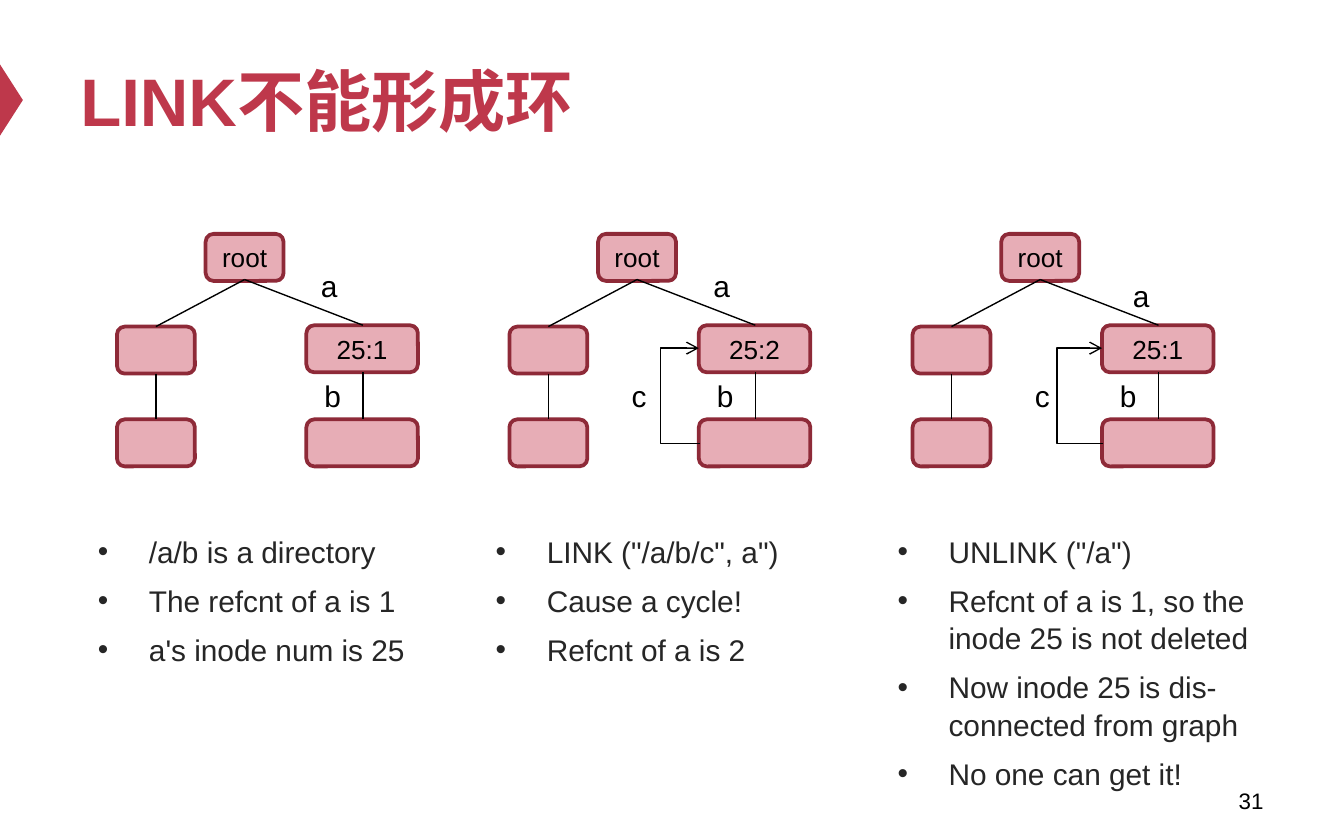
import pptx
import pptx.dml.color
import pptx.enum.shapes
import pptx.enum.text
import pptx.oxml
import pptx.oxml.ns
import pptx.util
from lxml import etree

Inches = pptx.util.Inches
Pt = pptx.util.Pt
qn = pptx.oxml.ns.qn
SHAPE = pptx.enum.shapes.MSO_SHAPE
CONNECTOR = pptx.enum.shapes.MSO_CONNECTOR
ALIGN = pptx.enum.text.PP_ALIGN
ANCHOR = pptx.enum.text.MSO_ANCHOR


def colour(target, value):
    target.rgb = pptx.dml.color.RGBColor.from_string(value)


def apply(target, values):
    for name, value in values.items():
        setattr(target, name, value)


class LinkSlide:
    """Draws styled elements on the current slide."""

    font = "Arial"
    red, dark_red, pink = "BE384B", "8E2A38", "E7ADB6"
    black, grey = "000000", "262626"

    def __init__(self, slide):
        self.slide = slide

    def add_words(self, paragraph, words, size, ink, **values):
        run = paragraph.add_run()
        run.text = words
        apply(paragraph, values)
        apply(run.font, {"name": self.font, "size": Pt(size)})
        colour(run.font.color, ink)
        return run

    def shape(self, kind, at, fill, line=None):
        shape = self.slide.shapes.add_shape(kind, *map(Inches, at))
        shape.shadow.inherit = False
        shape.fill.solid()
        colour(shape.fill.fore_color, fill)
        if line:
            shape.line.width = Pt(2)
            colour(shape.line.color, line)
        else:
            shape.line.fill.background()
        return shape

    def node(self, left, top, width, words=""):
        node = self.shape(SHAPE.ROUNDED_RECTANGLE, (left, top, width, 0.35), self.pink, self.dark_red)
        if words:
            apply(node.text_frame, {"word_wrap": True, "vertical_anchor": ANCHOR.MIDDLE})
            self.add_words(node.text_frame.paragraphs[0], words, 14, self.black, alignment=ALIGN.CENTER)

    def line(self, start, end, kind=CONNECTOR.STRAIGHT):
        line = self.slide.shapes.add_connector(kind, *map(Inches, (*start, *end)))
        line.line.width = Pt(0.75)
        colour(line.line.color, self.black)
        etree.SubElement(line._element.spPr, qn("a:effectLst"))
        return line

    def loop(self, right, bottom, top, reach):
        gap = 0.01
        loop = self.line((right + gap, bottom), (right, top), CONNECTOR.ELBOW)
        bend = round((reach + gap) / gap * 100000)
        geometry = loop._element.spPr.find(qn("a:prstGeom"))
        guides = geometry.find(qn("a:avLst"))
        etree.SubElement(guides, qn("a:gd"), name="adj1", fmla=f"val {bend}")
        outline = loop._element.spPr.find(qn("a:ln"))
        etree.SubElement(outline, qn("a:tailEnd"), type="arrow")

    def frame(self, at, anchor=ANCHOR.TOP):
        frame = self.slide.shapes.add_textbox(*map(Inches, at)).text_frame
        apply(frame, {"word_wrap": True, "vertical_anchor": anchor})
        return frame

    def text(self, at, words, size, ink, align=ALIGN.CENTER, anchor=ANCHOR.TOP):
        frame = self.frame(at, anchor)
        return self.add_words(frame.paragraphs[0], words, size, ink, alignment=align)

    def bullets(self, at, points):
        frame = self.frame(at)
        for index, point in enumerate(points):
            paragraph = frame.add_paragraph() if index else frame.paragraphs[0]
            properties = paragraph._p.get_or_add_pPr()
            indents = {"marL": Inches(0.38), "indent": -Inches(0.38)}
            for name, value in indents.items():
                properties.set(name, str(int(value)))
            etree.SubElement(properties, qn("a:buFont"), typeface=self.font)
            etree.SubElement(properties, qn("a:buChar"), char="•")
            self.add_words(paragraph, point, 16, self.grey, line_spacing=1.05,
                           space_before=Pt(6 if index else 0))

    def tree(self, left, inode, a_at, reach):
        root, small, wide = left + 0.95, left + 0.29, left + 1.83
        self.node(left + 0.66, 1.74, 0.58, "root")
        self.node(left, 2.43, 0.58)
        self.node(left + 1.41, 2.42, 0.83, inode)
        self.node(left, 3.12, 0.58)
        self.node(left + 1.41, 3.12, 0.83)
        self.line((root, 2.08), (small, 2.43))
        self.line((small, 2.78), (small, 3.12))
        self.line((root, 2.08), (wide, 2.42))
        self.line((wide, 2.77), (wide, 3.12))
        self.text((*a_at, 1, 0.37), "a", 16, self.black)
        self.text((left + 1.24, 2.76, 0.73, 0.37), "b", 16, self.black)
        if reach:
            self.loop(left + 1.41, 3.3, 2.59, reach)
            self.text((left + 0.6, 2.76, 0.73, 0.37), "c", 16, self.black)


STAGES = [
    (0.87, "25:1", (1.95, 1.94), 0, (0.63, 3.91, 2.79, 1.08),
     ["/a/b is a directory", "The refcnt of a is 1", "a's inode num is 25"]),
    (3.79, "25:2", (4.87, 1.94), 0.29, (3.59, 3.91, 2.75, 1.43),
     ['LINK ("/a/b/c", a")', "Cause a cycle!", "Refcnt of a is 2"]),
    (6.79, "25:1", (7.99, 2.02), 0.34, (6.58, 3.91, 3.3, 1.97),
     ['UNLINK ("/a")', "Refcnt of a is 1, so the inode 25 is not deleted",
      "Now inode 25 is dis-connected from graph", "No one can get it!"]),
]


def main():
    deck = pptx.Presentation()
    apply(deck, {"slide_width": Inches(10), "slide_height": Inches(6.25)})
    page = LinkSlide(deck.slides.add_slide(deck.slide_layouts[6]))
    marker = page.shape(SHAPE.ISOSCELES_TRIANGLE, (-0.18, 0.66, 0.53, 0.17), page.red)
    marker.rotation = 90
    title = page.text((0.5, 0.25, 9, 0.98), "LINK不能形成环", 36, page.red, ALIGN.LEFT, ANCHOR.MIDDLE)
    title.font.bold = True
    page.text((7.17, 5.79, 2.33, 0.33), "31", 12, page.black, ALIGN.RIGHT, ANCHOR.MIDDLE)
    for left, inode, a_at, reach, notes_at, notes in STAGES:
        page.tree(left, inode, a_at, reach)
        page.bullets(notes_at, notes)
    deck.save("out.pptx")


if __name__ == "__main__":
    main()
